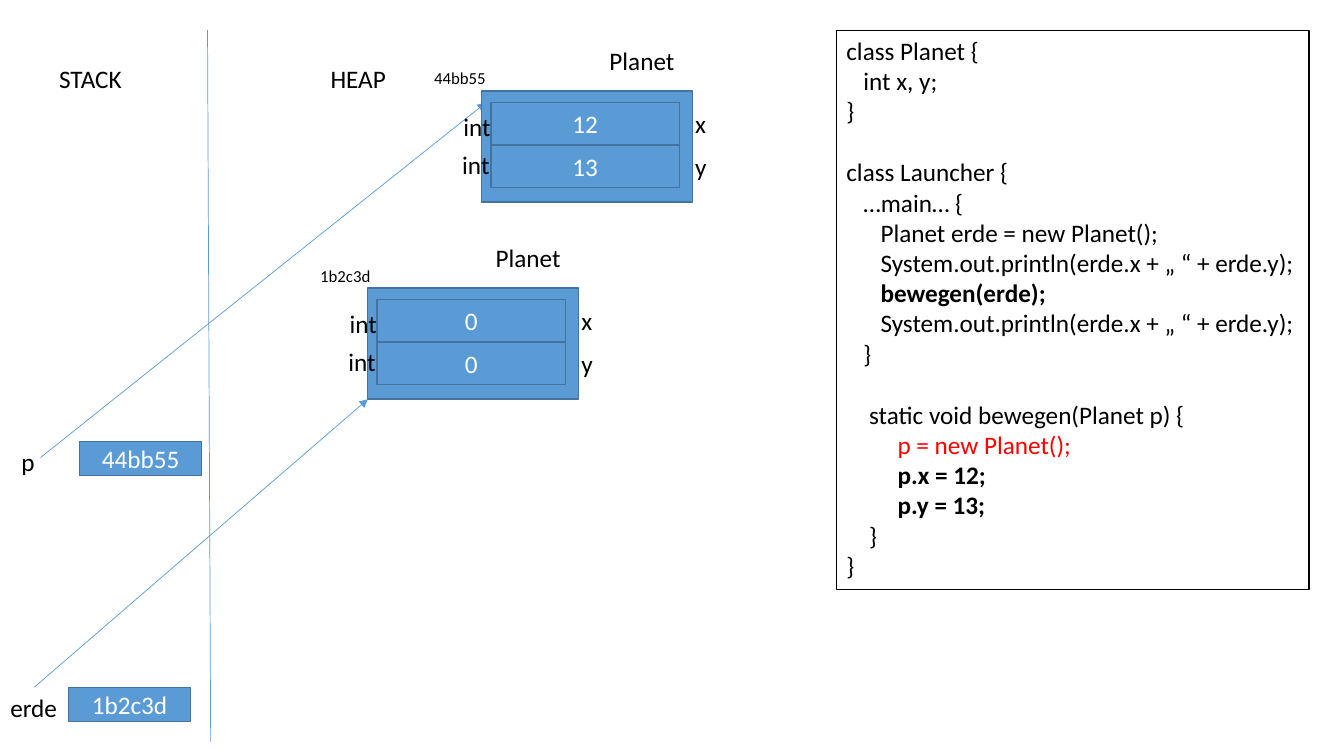
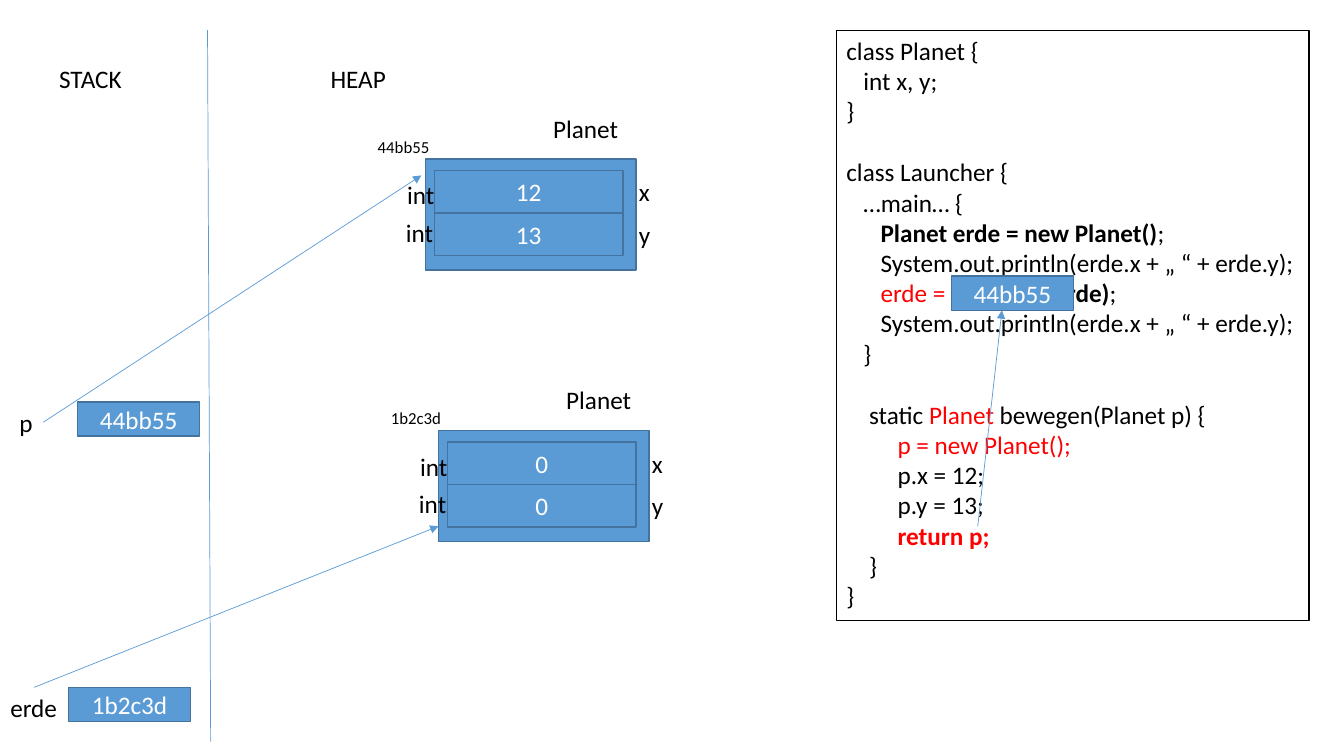
import dataclasses
import pptx
import pptx.util
import pptx.dml.color
import pptx.enum.shapes
import pptx.enum.text
import pptx.oxml.ns
from lxml import etree

Cm = pptx.util.Cm
Pt = pptx.util.Pt


@dataclasses.dataclass(frozen=True)
class Theme:
    font: str = "Calibri"
    black: str = "000000"
    white: str = "FFFFFF"
    red: str = "FF0000"
    blue: str = "5B9BD5"
    edge: str = "43739E"
    body: float = 18
    small: float = 12
    blank_line: float = 22
    indent: float = 0.1435
    frame_line: float = 0.75
    box_line: float = 1
    thin_line: float = 0.5


THEME = Theme()
PRINT = (6, ("System.out.println(erde.x + „ “ + erde.y);", ""))
GAP = None
CODE_HEAD = [
    (0, ("class Planet {", "")),
    (3, ("int x, y;", "")),
    (0, ("}", "")),
    GAP,
    (0, ("class Launcher {", "")),
    (3, ("…main… {", "")),
]
CODE_TAIL = [(4, ("}", "")), (0, ("}", ""))]
CHANGE_CODE = CODE_HEAD + [
    (6, ("Planet erde = new Planet();", "")),
    PRINT,
    (6, ("bewegen(erde);", "bold")),
    PRINT,
    (3, ("}", "")),
    GAP,
    (4, ("static void bewegen(Planet p) {", "")),
    (9, ("p = new Planet();", "red")),
    (9, ("p.x = 12;", "bold")),
    (9, ("p.y = 13;", "bold")),
] + CODE_TAIL
RETURN_CODE = CODE_HEAD + [
    (6, ("Planet erde = new Planet()", "bold"), (";", "")),
    PRINT,
    (6, ("erde = ", "red"), ("bewegen(erde)", "bold"), (";", "")),
    PRINT,
    (3, ("}", "")),
    GAP,
    (4, ("static ", ""), ("Planet ", "red"), ("bewegen(Planet p) {", "")),
    (9, ("p = new Planet();", "red")),
    (9, ("p.x = 12;", "")),
    (9, ("p.y = 13;", "")),
    (9, ("return p;", "red bold")),
] + CODE_TAIL

HEADINGS = [("STACK", 1.24, 2.11), ("HEAP", 8.08, 1.9)]
DIVIDER = ((5.23, 0.76), (5.31, 18.69))
SLIDES = [
    {
        "code": CHANGE_CODE,
        "code_height": 14.1,
        "references": [
            {"name": "erde", "address": "1b2c3d", "values": (0, 0), "width": 1.7,
             "variable": (1.73, 17.32), "planet": (9.27, 7.26),
             "arrow": ((0.86, 17.32), (9.27, 10.06))},
            {"name": "p", "address": "44bb55", "values": (12, 13), "width": 0.86,
             "variable": (2.01, 11.13), "planet": (12.14, 2.29),
             "arrow": ((1.02, 11.53), (12.24, 2.59))},
        ],
        "returned": None,
    },
    {
        "code": RETURN_CODE,
        "code_height": 14.88,
        "references": [
            {"name": "erde", "address": "1b2c3d", "values": (0, 0), "width": 1.7,
             "variable": (1.73, 17.32), "planet": (11.05, 10.85),
             "arrow": ((0.86, 17.32), (11.05, 13.26))},
            {"name": "p", "address": "44bb55", "values": (12, 13), "width": 0.86,
             "variable": (1.96, 10.13), "planet": (10.72, 4.01),
             "arrow": ((1.09, 10.64), (10.62, 4.42))},
        ],
        "returned": ("44bb55", (23.98, 6.96), ((24.64, 13.26), (25.25, 7.82))),
    },
]


def rgb(colour):
    return pptx.dml.color.RGBColor.from_string(colour)


def write(para, text, size=THEME.body, colour=THEME.black, bold=False):
    span = para.add_run()
    span.text = text
    span.font.name = THEME.font
    span.font.size = Pt(size)
    span.font.bold = bold
    span.font.color.rgb = rgb(colour)


def add_label(page, text, left, top, width, height=1.02, **text_format):
    box = page.shapes.add_textbox(Cm(left), Cm(top), Cm(width), Cm(height))
    box.text_frame.word_wrap = False
    box.text_frame.auto_size = pptx.enum.text.MSO_AUTO_SIZE.SHAPE_TO_FIT_TEXT
    if text:
        write(box.text_frame.paragraphs[0], text, **text_format)
    return box


def add_cell(page, text, left, top, width, height):
    box = page.shapes.add_shape(
        pptx.enum.shapes.MSO_SHAPE.RECTANGLE, Cm(left), Cm(top), Cm(width), Cm(height))
    box.shadow.inherit = False
    box.fill.solid()
    box.fill.fore_color.rgb = rgb(THEME.blue)
    box.line.color.rgb = rgb(THEME.edge)
    box.line.width = Pt(THEME.box_line)
    if text:
        box.text_frame.vertical_anchor = pptx.enum.text.MSO_ANCHOR.MIDDLE
        para = box.text_frame.paragraphs[0]
        para.alignment = pptx.enum.text.PP_ALIGN.CENTER
        write(para, text, colour=THEME.white)


def add_line(page, start, end, arrow=True):
    line = page.shapes.add_connector(
        pptx.enum.shapes.MSO_CONNECTOR.STRAIGHT, *map(Cm, start + end))
    line.line.color.rgb = rgb(THEME.blue)
    line.line.width = Pt(THEME.thin_line)
    if arrow:
        tail = etree.SubElement(line.line._get_or_add_ln(), pptx.oxml.ns.qn("a:tailEnd"))
        tail.set("type", "triangle")
    etree.SubElement(line._element.spPr, pptx.oxml.ns.qn("a:effectLst"))


def add_code(page, lines, height):
    box = add_label(page, "", 21.08, 0.76, 11.91, height)
    box.line.color.rgb = rgb(THEME.black)
    box.line.width = Pt(THEME.frame_line)
    para = box.text_frame.paragraphs[0]
    after_gap = False
    for line in lines:
        if line is GAP:
            after_gap = True
            continue
        if para.runs:
            para = box.text_frame.add_paragraph()
        if after_gap:
            para.space_before = Pt(THEME.blank_line)
            after_gap = False
        indent, *spans = line
        para._p.get_or_add_pPr().set("marL", str(Cm(indent * THEME.indent)))
        for text, style in spans:
            write(para, text, colour=THEME.red if "red" in style else THEME.black,
                  bold="bold" in style)


def add_variable(page, address, left, top):
    add_cell(page, address, left, top, 3.07, 0.86)


def add_planet(page, address, values, left, top):
    add_cell(page, "", left, top, 5.31, 2.8)
    for row, (field, value) in enumerate(zip("xy", values)):
        add_cell(page, str(value), left + 0.23, top + 0.29 + row * 1.07, 4.75, 1.07)
        add_label(page, "int", left - 0.71 - row * 0.03, top + 0.39 + row * 0.95, 1.19)
        add_label(page, field, left + 5.13, top + 0.32 + row * 1.07, 0.8)
    add_label(page, "Planet", left + 2.97, top - 1.28, 2.16)
    add_label(page, address, left - 1.45, top - 0.7, 1.82, 0.76, size=THEME.small)


def add_reference(page, reference):
    left, top = reference["variable"]
    add_variable(page, reference["address"], left, top)
    add_label(page, reference["name"], left - 1.72, top, reference["width"])
    add_line(page, *reference["arrow"])
    add_planet(page, reference["address"], reference["values"], *reference["planet"])


deck = pptx.Presentation()
deck.slide_width, deck.slide_height = Cm(33.87), Cm(19.05)
for content in SLIDES:
    page = deck.slides.add_slide(deck.slide_layouts[6])
    add_code(page, content["code"], content["code_height"])
    add_line(page, *DIVIDER, arrow=False)
    for heading, left, width in HEADINGS:
        add_label(page, heading, left, 1.47, width)
    for reference in content["references"]:
        add_reference(page, reference)
    if content["returned"]:
        address, place, arrow = content["returned"]
        add_line(page, *arrow)
        add_variable(page, address, *place)
deck.save("out.pptx")
